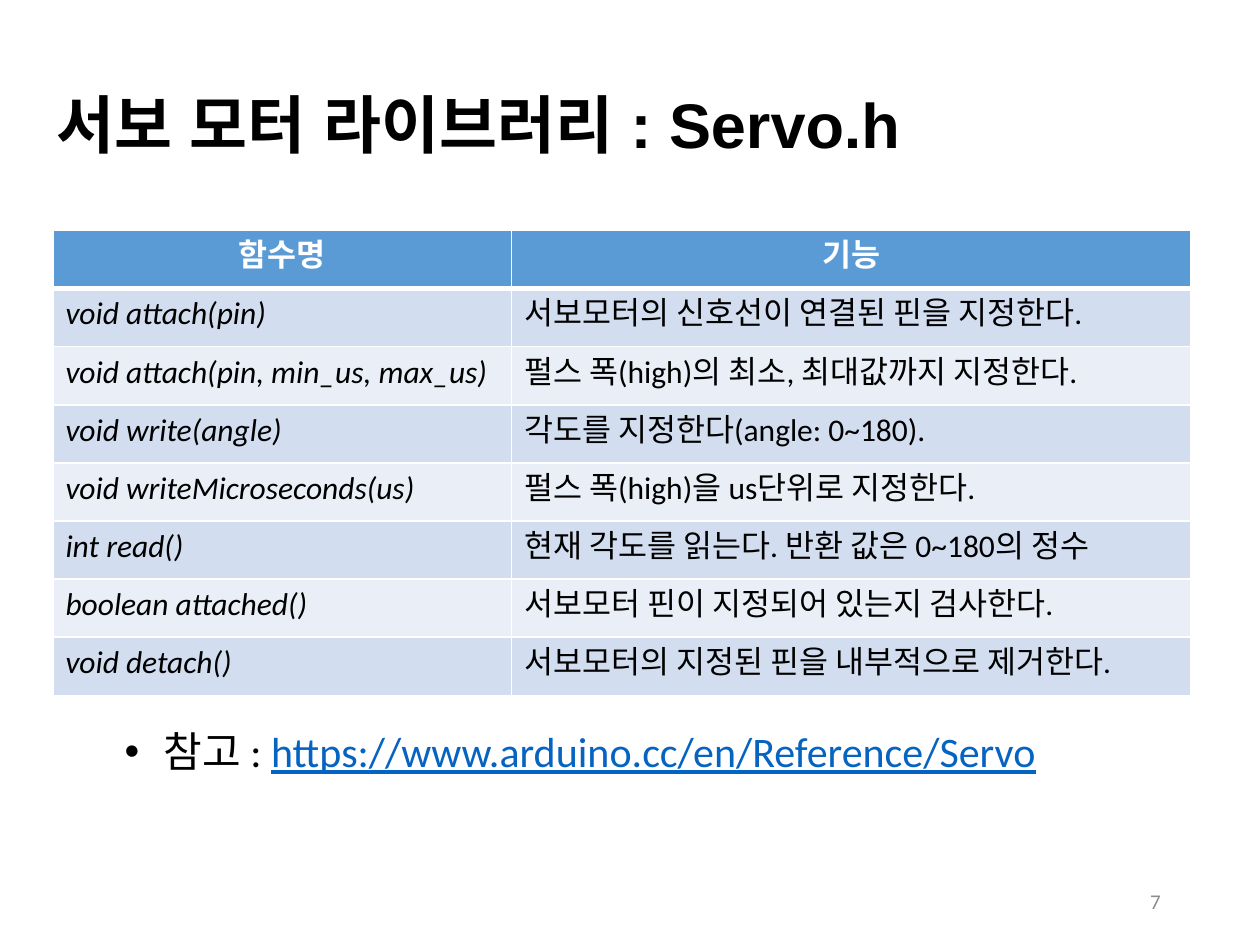
import dataclasses

import pptx
import pptx.dml.color
import pptx.enum.lang
import pptx.enum.text
import pptx.oxml.ns
import pptx.util
from lxml import etree

ALIGN = pptx.enum.text.PP_ALIGN
ANCHOR = pptx.enum.text.MSO_ANCHOR


@dataclasses.dataclass(frozen=True)
class Theme:
    heading_font: str = "Arial"
    body_font: str = "Calibri"
    ink: str = "000000"
    white: str = "FFFFFF"
    muted: str = "8C8C8C"
    link: str = "0563C1"
    header: str = "5B9BD5"
    bands: tuple = ("D2DEEF", "EAEFF7")
    title_size: int = 36
    body_size: int = 24
    table_size: int = 18
    number_size: int = 12
    rule: int = 1
    header_rule: int = 3


def add_xml(parent, tag, **attrs):
    return etree.SubElement(parent, pptx.oxml.ns.qn(tag), attrs)


class SlideBuilder:
    COLS, ROWS = 100, 75

    def __init__(self, prs, theme):
        self.theme = theme
        self.unit_x = prs.slide_width / self.COLS
        self.unit_y = prs.slide_height / self.ROWS
        self.slide = prs.slides.add_slide(prs.slide_layouts[6])

    def x(self, cols):
        return pptx.util.Emu(round(cols * self.unit_x))

    def y(self, rows):
        return pptx.util.Emu(round(rows * self.unit_y))

    def box(self, col, row, cols, rows):
        return self.x(col), self.y(row), self.x(cols), self.y(rows)

    def style(self, r, size, color, font=None, bold=False, italic=False, underline=False):
        name = font or self.theme.body_font
        r.font.language_id = pptx.enum.lang.MSO_LANGUAGE_ID.KOREAN
        r.font.size = pptx.util.Pt(size)
        r.font.color.rgb = pptx.dml.color.RGBColor.from_string(color)
        r.font.bold, r.font.italic, r.font.underline = bold, italic, underline
        r.font.name = name
        add_xml(r._r.get_or_add_rPr(), "a:ea", typeface=name)

    def text(self, area, text, size, color, align=ALIGN.LEFT, anchor=ANCHOR.MIDDLE, **font):
        sp = self.slide.shapes.add_textbox(*self.box(*area))
        tf = sp.text_frame
        tf.word_wrap = True
        tf.vertical_anchor = anchor
        p = tf.paragraphs[0]
        p.text = text
        p.alignment = align
        self.style(p.runs[0], size, color, **font)
        return p

    def title(self, area, text):
        p = self.text(area, text, self.theme.title_size, self.theme.ink,
                      font=self.theme.heading_font, bold=True)
        p.line_spacing = 0.9

    def reference(self, area, label, address):
        size = self.theme.body_size
        p = self.text(area, label, size, self.theme.ink, anchor=ANCHOR.TOP)
        indent = self.x(3.1)
        pPr = p._p.get_or_add_pPr()
        pPr.set("marL", str(indent))
        pPr.set("indent", str(-indent))
        add_xml(pPr, "a:buFont", typeface=self.theme.heading_font)
        add_xml(pPr, "a:buChar", char="•")
        r = p.add_run()
        r.text = address
        self.style(r, size, self.theme.link, underline=True)

    def cell(self, cell, text, fill, widths, align=ALIGN.LEFT, **font):
        tcPr = cell._tc.get_or_add_tcPr()
        for side, width in zip("LRTB", widths):
            ln = add_xml(tcPr, f"a:ln{side}", w=str(pptx.util.Pt(width)))
            add_xml(add_xml(ln, "a:solidFill"), "a:srgbClr", val=self.theme.white)
        cell.fill.solid()
        cell.fill.fore_color.rgb = pptx.dml.color.RGBColor.from_string(fill)
        p = cell.text_frame.paragraphs[0]
        p.text = text
        p.alignment = align
        self.style(p.runs[0], self.theme.table_size, **font)

    def table(self, area, col_widths, header, body):
        t = self.theme
        frame = self.slide.shapes.add_table(len(body) + 1, len(header), *self.box(*area))
        table = frame.table
        for column, width in zip(table.columns, col_widths):
            column.width = self.x(width)
        for c, text in enumerate(header):
            self.cell(table.cell(0, c), text, t.header,
                      (t.rule, t.rule, t.rule, t.header_rule),
                      ALIGN.CENTER, color=t.white, bold=True)
        for i, row in enumerate(body):
            top = t.rule if i else t.header_rule
            for c, text in enumerate(row):
                self.cell(table.cell(i + 1, c), text, t.bands[i % 2],
                          (t.rule, t.rule, top, t.rule),
                          color=t.ink, italic=c == 0)


HEADER = ("함수명", "기능")
FUNCTIONS = (
    ("void attach(pin)", "서보모터의 신호선이 연결된 핀을 지정한다."),
    ("void attach(pin, min_us, max_us)", "펄스 폭(high)의 최소, 최대값까지 지정한다."),
    ("void write(angle)", "각도를 지정한다(angle: 0~180)."),
    ("void writeMicroseconds(us)", "펄스 폭(high)을 us단위로 지정한다."),
    ("int read()", "현재 각도를 읽는다. 반환 값은 0~180의 정수"),
    ("boolean attached()", "서보모터 핀이 지정되어 있는지 검사한다."),
    ("void detach()", "서보모터의 지정된 핀을 내부적으로 제거한다."),
)


def main():
    prs = pptx.Presentation()
    prs.slide_width = pptx.util.Inches(10)
    prs.slide_height = pptx.util.Inches(7.5)
    theme = Theme()
    s = SlideBuilder(prs, theme)
    s.text((70.6, 69.5, 22.5, 4), "7", theme.number_size, theme.muted, ALIGN.RIGHT)
    s.title((3.5, 6.5, 86.2, 7.4), "서보 모터 라이브러리 : Servo.h")
    s.table((4.2, 18.3, 90.3, 36.9), (36.4, 53.9), HEADER, FUNCTIONS)
    s.reference((8.9, 57.1, 80.9, 5), "참고 : ", "https://www.arduino.cc/en/Reference/Servo")
    prs.save("out.pptx")


if __name__ == "__main__":
    main()
